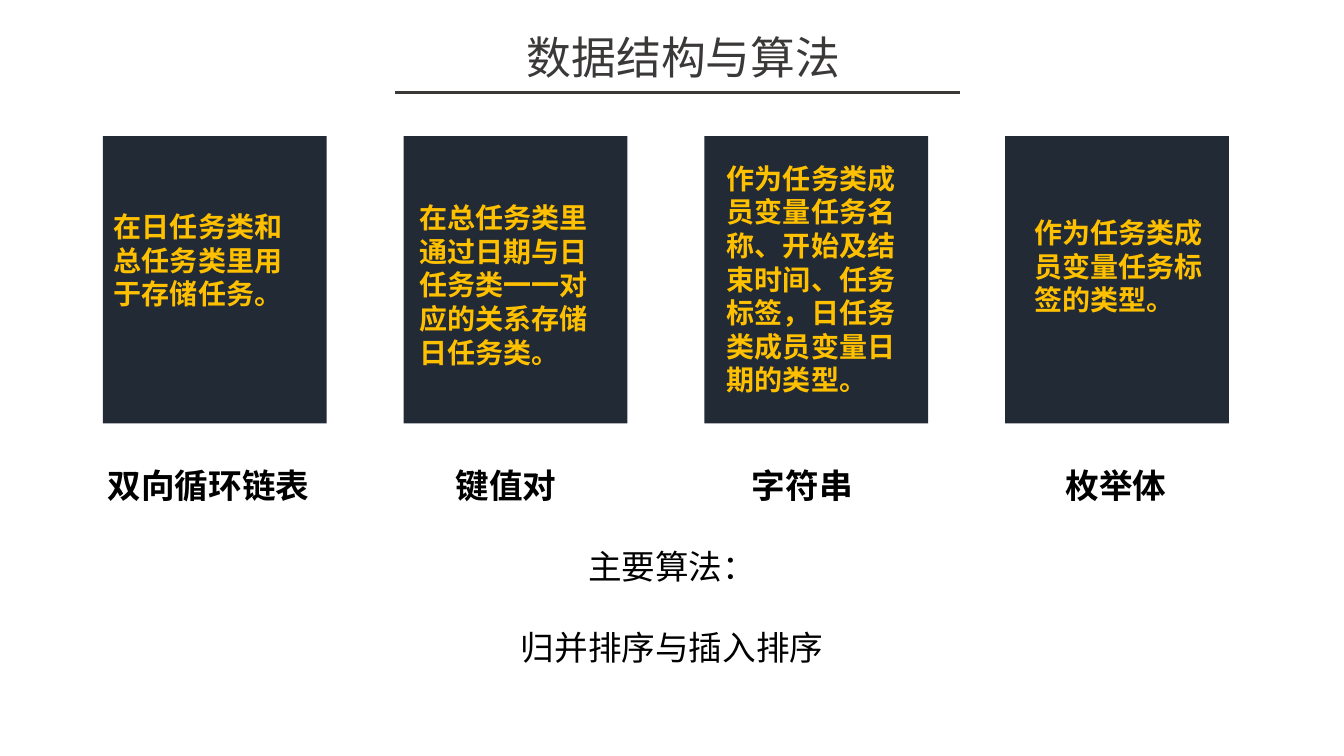
from lxml import etree
from pptx import Presentation
from pptx.dml.color import RGBColor
from pptx.enum.shapes import MSO_CONNECTOR, MSO_SHAPE
from pptx.enum.text import MSO_ANCHOR, MSO_AUTO_SIZE, PP_ALIGN
from pptx.oxml.ns import qn
from pptx.util import Inches, Pt

RECT = MSO_SHAPE.RECTANGLE
LINE = MSO_CONNECTOR.STRAIGHT
TOP = MSO_ANCHOR.TOP
GROW = MSO_AUTO_SIZE.SHAPE_TO_FIT_TEXT
LEFT, MID = PP_ALIGN.LEFT, PP_ALIGN.CENTER

FONT = "Noto Sans CJK SC"
HUES = {"card": "222A35", "note": "FFC000", "head": "3B3838", "text": "000000"}

CARD_X, CARD_Y, CARD_W, CARD_H, STEP = 1.02, 1.35, 2.22, 2.85, 2.983
CARDS = [
    ("双向循环链表", (0.97, 2.22), "在日任务类和总任务类里用于存储任务。",
     (1.13, 2.08, 1.93, 1.01)),
    ("键值对", (4.42, 1.21),
     "在总任务类里通过日期与日任务类一一对应的关系存储日任务类。",
     (4.16, 1.99, 1.93, 1.68)),
    ("字符串", (7.36, 1.21),
     "作为任务类成员变量任务名称、开始及结束时间、任务标签，日任务类成员变量日期的类型。",
     (7.21, 1.6, 1.93, 2.36)),
    ("枚举体", (10.47, 1.21), "作为任务类成员变量任务标签的类型。",
     (10.26, 2.14, 1.93, 1.01)),
]


def color(name):
    return RGBColor.from_string(HUES[name])


def add_run(para, text, size, hue, bold=False):
    run = para.add_run()
    run.text = text
    font = run.font
    font.size, font.bold, font.name = Pt(size), bold, FONT
    font.color.rgb = color(hue)
    east = etree.SubElement(font._element, qn("a:ea"))
    east.set("typeface", FONT)


def fill_text(shape, lines, size, hue, bold=False, align=LEFT, gap=0):
    frame = shape.text_frame
    frame.vertical_anchor = TOP
    frame.auto_size = GROW
    for i, line in enumerate(lines):
        para = frame.add_paragraph() if i else frame.paragraphs[0]
        para.alignment = align
        para.space_before = Pt(gap if i else 0)
        add_run(para, line, size, hue, bold)


def add_box(slide, area, wrap=True, inset=True):
    box = slide.shapes.add_textbox(*map(Inches, area))
    frame = box.text_frame
    frame.word_wrap = wrap
    if not inset:
        frame.margin_left = frame.margin_right = 0
        frame.margin_top = frame.margin_bottom = 0
    return box


def add_title(slide, text):
    title = slide.shapes.title
    title.left, title.top = Inches(3.75), Inches(0.24)
    title.width, title.height = Inches(6.06), Inches(0.64)
    fill_text(title, [text], 32, "head", align=MID)


def add_rule(slide, left, right, top):
    rule = slide.shapes.add_connector(
        LINE, Inches(left), Inches(top), Inches(right), Inches(top))
    rule.line.color.rgb = color("head")
    rule.line.width = Pt(2)
    etree.SubElement(rule._element.spPr, qn("a:effectLst"))


def add_card(slide, left):
    card = slide.shapes.add_shape(
        RECT, Inches(left), Inches(CARD_Y), Inches(CARD_W), Inches(CARD_H))
    card.shadow.inherit = False
    card.fill.solid()
    card.fill.fore_color.rgb = color("card")
    card.line.fill.background()


def main():
    deck = Presentation()
    deck.slide_width, deck.slide_height = Inches(13.33), Inches(7.5)
    slide = deck.slides.add_slide(deck.slide_layouts[5])
    add_title(slide, "数据结构与算法")
    add_rule(slide, 3.92, 9.52, 0.92)
    for i, (name, (left, width), note, area) in enumerate(CARDS):
        add_card(slide, CARD_X + i * STEP)
        fill_text(add_box(slide, area, inset=False), [note], 20, "note", True)
        label = add_box(slide, (left, 4.56, width, 0.5), wrap=False)
        fill_text(label, [name], 24, "text", True)
    fill_text(add_box(slide, (1.14, 5.37, 11.05, 1.31)),
              ["主要算法：", "归并排序与插入排序"], 24, "text",
              align=MID, gap=29)
    deck.save("out.pptx")


if __name__ == "__main__":
    main()
